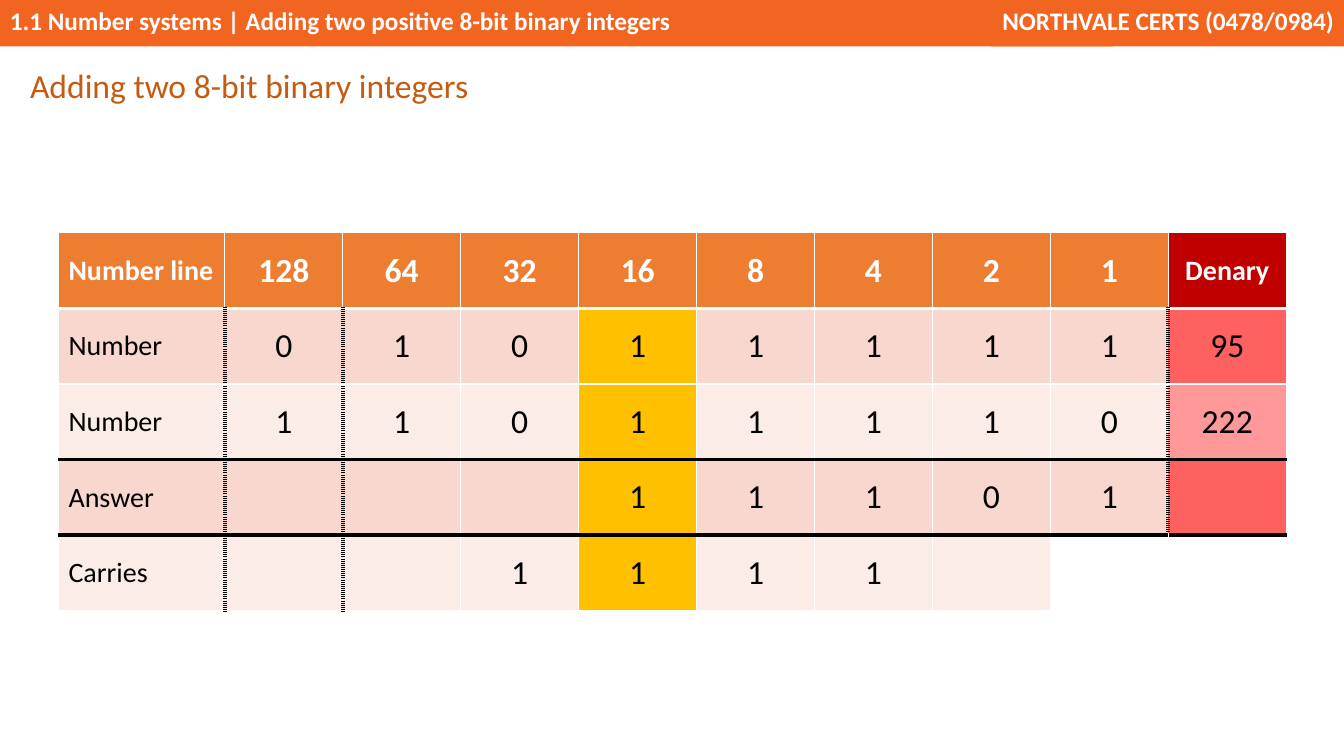
"""Build a slide on adding two 8-bit binary integers."""
from lxml.etree import SubElement
from pptx import Presentation
from pptx.dml.color import RGBColor
from pptx.enum.shapes import MSO_SHAPE
from pptx.enum.text import MSO_ANCHOR, PP_ALIGN
from pptx.oxml.ns import qn
from pptx.util import Inches, Pt

WHITE = RGBColor(0xFF, 0xFF, 0xFF)
BLACK = RGBColor(0, 0, 0)
BANNER = RGBColor(0xF2, 0x65, 0x21)
TITLE = RGBColor(0xC5, 0x5A, 0x11)
HEADER = RGBColor(0xED, 0x7D, 0x31)
DENARY_HEADER = RGBColor(0xC0, 0, 0)
BANDS = [RGBColor(0xFC, 0xEC, 0xE8), RGBColor(0xF8, 0xD7, 0xCE)]
DENARY_BANDS = [RGBColor(0xFF, 0x99, 0x99), RGBColor(0xFF, 0x61, 0x61)]
CURRENT = RGBColor(0xFF, 0xC0, 0)

ROWS = [
    ["Number line", "128", "64", "32", "16", "8", "4", "2", "1", "Denary"],
    ["Number", "0", "1", "0", "1", "1", "1", "1", "1", "95"],
    ["Number", "1", "1", "0", "1", "1", "1", "1", "0", "222"],
    ["Answer", "", "", "", "1", "1", "1", "0", "1", ""],
    ["Carries", "", "", "1", "1", "1", "1", "", "", ""],
]
CURRENT_COLUMN, LAST_BIT, DENARY = 4, 8, 9
CARRIES = 4


def write(paragraph, text, size, color, bold=False, align=PP_ALIGN.LEFT):
    paragraph.alignment = align
    span = paragraph.add_run()
    span.text = text
    span.font.color.rgb = color
    formats = {"name": "Calibri", "size": Pt(size), "bold": bold}
    for name, value in formats.items():
        setattr(span.font, name, value)


def add_border(cell, side, color, width, dotted=False):
    properties = cell._tc.get_or_add_tcPr()
    line = SubElement(properties, qn(f"a:ln{side}"), w=str(Pt(width)))
    fill = SubElement(line, qn("a:solidFill"))
    SubElement(fill, qn("a:srgbClr"), val=str(color))
    SubElement(line, qn("a:prstDash"), val="dot" if dotted else "solid")


deck = Presentation()
deck.slide_width, deck.slide_height = Inches(13.33), Inches(7.5)
page = deck.slides.add_slide(deck.slide_layouts[6])

banners = [
    (0, 11.04, PP_ALIGN.LEFT,
     "1.1 Number systems | Adding two positive 8-bit binary integers"),
    (9.83, 3.5, PP_ALIGN.RIGHT, "NORTHVALE CERTS (0478/0984)"),
]
for left, width, align, text in banners:
    banner = page.shapes.add_shape(
        MSO_SHAPE.RECTANGLE, Inches(left), 0, Inches(width), Inches(0.46))
    banner.shadow.inherit = False
    banner.fill.solid()
    banner.fill.fore_color.rgb = BANNER
    banner.line.fill.background()
    banner.text_frame.vertical_anchor = MSO_ANCHOR.TOP
    write(banner.text_frame.paragraphs[0], text, 18, WHITE, True, align)

table = page.shapes.add_table(
    len(ROWS), len(ROWS[0]),
    Inches(0.58), Inches(2.31), Inches(12.17), Inches(3.75)).table
for index, column in enumerate(table.columns):
    column.width = Inches(1.17 if index else 1.65)

for row, values in enumerate(ROWS):
    table.rows[row].height = Inches(0.75)
    for column, text in enumerate(values):
        cell = table.cell(row, column)
        cell.vertical_anchor = MSO_ANCHOR.MIDDLE

        dotted_edges = {0, 1} if row == CARRIES else {0, 1, LAST_BIT}
        for side, edge in (("L", column - 1), ("R", column)):
            dotted = row > 0 and edge in dotted_edges
            add_border(cell, side, BLACK if dotted else WHITE,
                       3 if dotted else 1, dotted)
        for side, edge in (("T", row), ("B", row + 1)):
            add_border(cell, side, BLACK if edge in (3, 4) else WHITE,
                       3 if edge in (1, 3, 4) else 1)

        if row == 0:
            color = DENARY_HEADER if column == DENARY else HEADER
        elif row == CARRIES and column >= LAST_BIT:
            color = WHITE
        elif column == CURRENT_COLUMN:
            color = CURRENT
        else:
            color = (DENARY_BANDS if column == DENARY else BANDS)[row % 2]
        cell.fill.solid()
        cell.fill.fore_color.rgb = color

        if text:
            small = column == 0 or text == "Denary"
            write(cell.text_frame.paragraphs[0], text, 20 if small else 24,
                  BLACK if row else WHITE, row == 0,
                  PP_ALIGN.CENTER if column else PP_ALIGN.LEFT)

box = page.shapes.add_textbox(
    Inches(0.2), Inches(0.57), Inches(4.8), Inches(0.51))
box.text_frame.word_wrap = True
heading = box.text_frame.paragraphs[0]
heading.line_spacing = 1.07
heading.space_after = Pt(8)
write(heading, "Adding two 8-bit binary integers", 24, TITLE)

deck.save("out.pptx")
